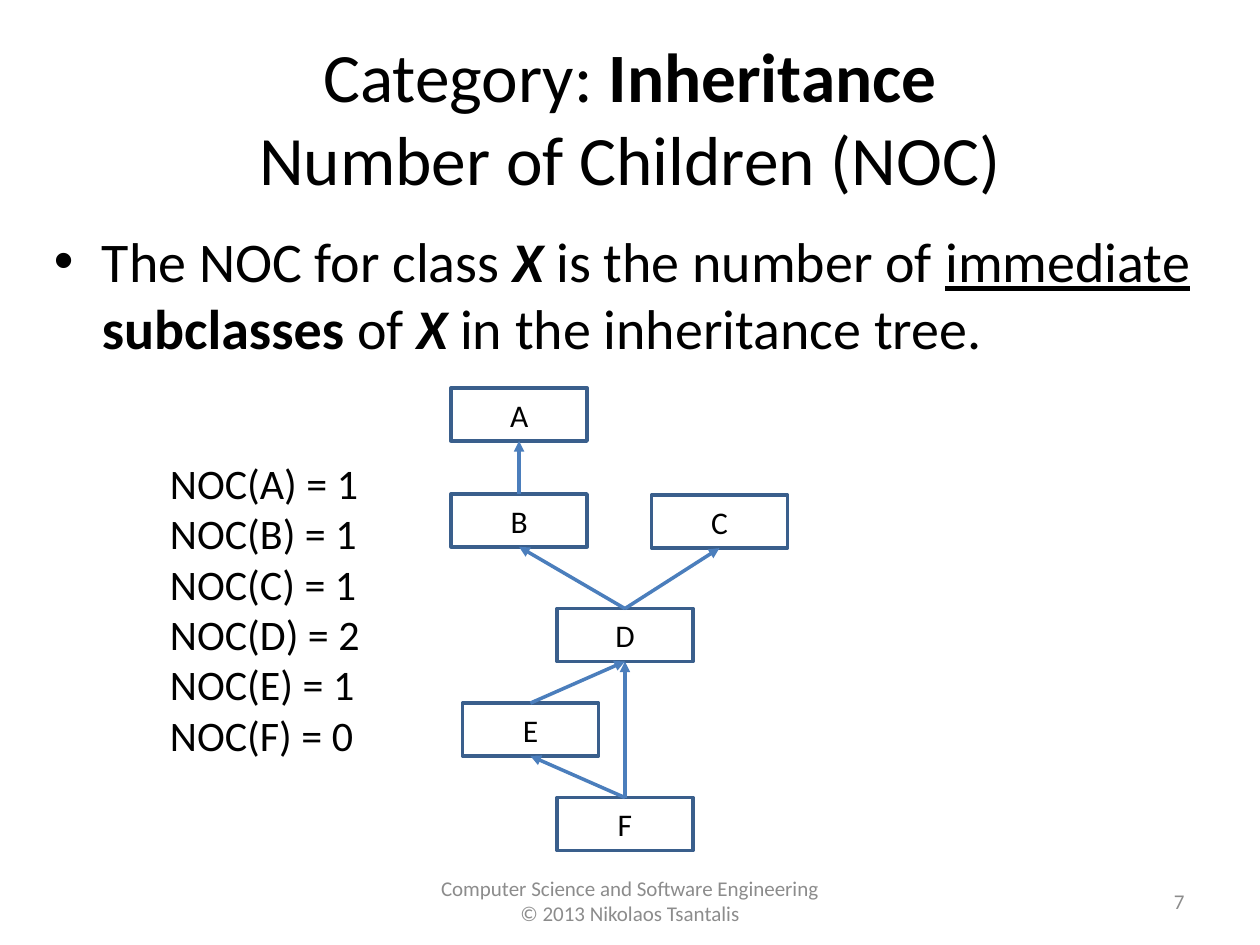
from dataclasses import dataclass

from lxml.etree import SubElement
from pptx import Presentation
from pptx.dml.color import RGBColor
from pptx.enum.shapes import MSO_CONNECTOR, MSO_SHAPE
from pptx.enum.text import MSO_ANCHOR, PP_ALIGN
from pptx.oxml.ns import qn
from pptx.util import Inches, Pt

FONT = "Calibri"
COLORS = {"text": "000000", "footer": "8C8C8C", "box": "3A5F8C", "arrow": "4B7EBC"}
BOX_WIDTH, BOX_HEIGHT = 1.08, 0.42
TOP_SITE, BOTTOM_SITE = 0, 2


@dataclass(frozen=True)
class Piece:
    """A stretch of text with one style."""
    text: str
    bold: bool = False
    italic: bool = False
    underline: bool = False


@dataclass(frozen=True)
class ClassNode:
    """A class in the inheritance tree, with its parents."""
    name: str
    left: float
    top: float
    children: int
    parents: str = ""


NODES = [
    ClassNode("A", 3.58, 3.08, 1),
    ClassNode("B", 3.58, 3.92, 1, "A"),
    ClassNode("C", 5.17, 3.93, 1),
    ClassNode("D", 4.42, 4.83, 2, "BC"),
    ClassNode("E", 3.67, 5.58, 1, "D"),
    ClassNode("F", 4.42, 6.33, 0, "ED"),
]
TITLE = [
    [Piece("Category: "), Piece("Inheritance", bold=True)],
    [Piece("Number of Children (NOC)")],
]
DEFINITION = [[
    Piece("The NOC for class "),
    Piece("X", bold=True, italic=True),
    Piece(" is the number of "),
    Piece("immediate", underline=True),
    Piece(" "),
    Piece("subclasses", bold=True),
    Piece(" of "),
    Piece("X", bold=True, italic=True),
    Piece(" in the inheritance tree."),
]]
FOOTER = [
    [Piece("Computer Science and Software Engineering")],
    [Piece("© 2013 Nikolaos Tsantalis")],
]


def write(frame, lines: list, size: float, color: str = "text",
          align=PP_ALIGN.LEFT, anchor=MSO_ANCHOR.TOP, wrap: bool = True) -> None:
    """Fill a text frame with one paragraph per line, run by run."""
    frame.word_wrap = wrap
    frame.vertical_anchor = anchor
    for index, pieces in enumerate(lines):
        paragraph = frame.add_paragraph() if index else frame.paragraphs[0]
        paragraph.alignment = align
        for piece in pieces:
            run = paragraph.add_run()
            run.text = piece.text
            run.font.name = FONT
            run.font.size = Pt(size)
            run.font.bold = piece.bold
            run.font.italic = piece.italic
            run.font.underline = piece.underline
            run.font.color.rgb = RGBColor.from_string(COLORS[color])


def add_text(slide, left: float, top: float, width: float, height: float,
             lines: list, size: float, **style):
    """Add a text box and return its frame."""
    box = slide.shapes.add_textbox(Inches(left), Inches(top), Inches(width), Inches(height))
    write(box.text_frame, lines, size, **style)
    return box.text_frame


def add_bullet(paragraph, indent: float) -> None:
    """Give a paragraph a round bullet with a hanging indent."""
    properties = paragraph._p.get_or_add_pPr()
    properties.set("marL", str(Inches(indent)))
    properties.set("indent", str(-Inches(indent)))
    SubElement(properties, qn("a:buFont"), typeface="Arial")
    SubElement(properties, qn("a:buChar"), char="•")


def add_class_box(slide, node: ClassNode):
    """Draw the outlined box of a class."""
    box = slide.shapes.add_shape(MSO_SHAPE.RECTANGLE, Inches(node.left), Inches(node.top),
                                 Inches(BOX_WIDTH), Inches(BOX_HEIGHT))
    box.shadow.inherit = False
    box.fill.background()
    box.line.color.rgb = RGBColor.from_string(COLORS["box"])
    box.line.width = Pt(2)
    write(box.text_frame, [[Piece(node.name)]], 18,
          align=PP_ALIGN.CENTER, anchor=MSO_ANCHOR.MIDDLE)
    return box


def add_arrow(slide, child, parent) -> None:
    """Draw an arrow from the top of a child to the bottom of its parent."""
    arrow = slide.shapes.add_connector(MSO_CONNECTOR.STRAIGHT, 0, 0, 0, 0)
    arrow.begin_connect(child, TOP_SITE)
    arrow.end_connect(parent, BOTTOM_SITE)
    arrow.line.color.rgb = RGBColor.from_string(COLORS["arrow"])
    arrow.line.width = Pt(2)
    SubElement(arrow.line._get_or_add_ln(), qn("a:tailEnd"), type="triangle")
    SubElement(arrow._element.spPr, qn("a:effectLst"))


def main() -> None:
    """Build and save the slide."""
    presentation = Presentation()
    presentation.slide_width, presentation.slide_height = Inches(10), Inches(7.5)
    slide = presentation.slides.add_slide(presentation.slide_layouts[6])

    add_text(slide, 0, 6.95, 10, 0.4, FOOTER, 12, color="footer",
             align=PP_ALIGN.CENTER, anchor=MSO_ANCHOR.MIDDLE)
    add_text(slide, 0.5, 0.3, 9, 1.25, TITLE, 39.6,
             align=PP_ALIGN.CENTER, anchor=MSO_ANCHOR.MIDDLE)
    definition = add_text(slide, 0.33, 1.75, 9.33, 1.25, DEFINITION, 32)
    add_bullet(definition.paragraphs[0], 0.38)
    add_text(slide, 7.17, 6.95, 2.33, 0.4, [[Piece("7")]], 12, color="footer",
             align=PP_ALIGN.RIGHT, anchor=MSO_ANCHOR.MIDDLE)

    boxes = {node.name: add_class_box(slide, node) for node in NODES}
    for node in NODES:
        for parent in node.parents:
            add_arrow(slide, boxes[node.name], boxes[parent])

    counts = [[Piece(f"NOC({node.name}) = {node.children}")] for node in NODES]
    add_text(slide, 1.25, 3.58, 1.71, 2.52, counts, 24, wrap=False)
    presentation.save("out.pptx")


main()
